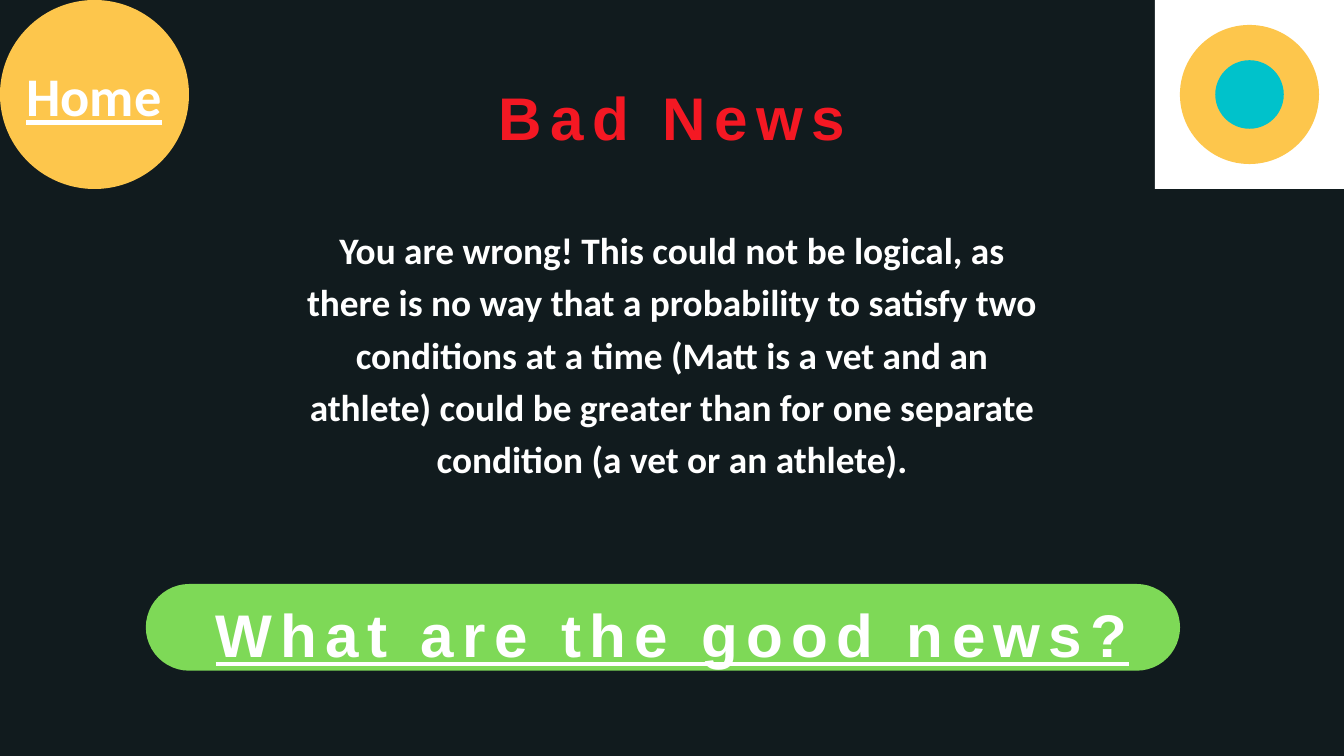
from pptx import Presentation
from pptx.dml.color import RGBColor
from pptx.enum.shapes import MSO_SHAPE
from pptx.enum.text import MSO_ANCHOR, MSO_AUTO_SIZE, PP_ALIGN
from pptx.oxml.xmlchemy import OxmlElement
from pptx.util import Inches, Pt

OVAL, SQUARE, PILL = MSO_SHAPE.OVAL, MSO_SHAPE.RECTANGLE, MSO_SHAPE.ROUNDED_RECTANGLE
TOP, CENTER, FIXED = MSO_ANCHOR.TOP, PP_ALIGN.CENTER, MSO_AUTO_SIZE.NONE

WIDTH, HEIGHT = 20, 11.25
CORNER = HEIGHT / 4
MIDDLE = CORNER / 2

THEME = {
    "colors": {"night": "111B1E", "green": "7ED957", "white": "FFFFFF",
               "yellow": "FDC64C", "teal": "00C2CB", "red": "F41823"},
    "heading": {"name": "Arial", "size": 64.5, "line": 96.8, "spacing": 9},
    "body": {"name": "Calibri", "size": 40, "line": 56, "spacing": 0},
    "button": {"name": "Calibri", "size": 58.3, "line": 70, "spacing": 0},
}

TITLE = "Bad News"
BODY = ("You are wrong! This could not be logical, as there is no way that a "
        "probability to satisfy two conditions at a time (Matt is a vet and an athlete) "
        "could be greater than for one separate condition (a vet or an athlete).")
LINKS = [
    ("What are the good news?", "heading", (2.72, 8.62, 14.57, 1.27)),
    ("Home", "button", (0.18, 0.93, 2.44, 0.92)),
]
CORNER_SHAPES = [
    (SQUARE, "white", WIDTH - MIDDLE, CORNER),
    (OVAL, "yellow", MIDDLE, CORNER),
    (OVAL, "yellow", WIDTH - MIDDLE, 2.07),
    (OVAL, "teal", WIDTH - MIDDLE, 1.02),
]


def color(name):
    return RGBColor.from_string(THEME["colors"][name])


def set_all(target, values):
    for name, value in values.items():
        setattr(target, name, value)


def place(shape, box):
    set_all(shape, dict(zip(("left", "top", "width", "height"), map(Inches, box))))


def add_filled(slide, kind, fill, box):
    shape = slide.shapes.add_shape(kind, *map(Inches, box))
    shape.shadow.inherit = False
    shape.fill.solid()
    shape.fill.fore_color.rgb = color(fill)
    shape.line.fill.background()
    return shape


def write(shape, text, style, box, ink="white", underline=False):
    place(shape, box)
    look = THEME[style]
    frame = shape.text_frame
    set_all(frame, {"word_wrap": True, "auto_size": FIXED, "vertical_anchor": TOP,
                    "margin_left": 0, "margin_top": 0, "margin_right": 0, "margin_bottom": 0})
    paragraph = frame.paragraphs[0]
    set_all(paragraph, {"alignment": CENTER, "line_spacing": Pt(look["line"]),
                        "space_before": Pt(0)})
    run = paragraph.add_run()
    run.text = text
    set_all(run.font, {"name": look["name"], "size": Pt(look["size"]),
                       "bold": True, "underline": underline})
    run.font.color.rgb = color(ink)
    if look["spacing"]:
        run.font._element.set("spc", str(look["spacing"] * 100))
    return paragraph


def remove_bullet(paragraph):
    properties = paragraph._p.get_or_add_pPr()
    properties.set("marL", "0")
    properties.set("indent", "0")
    properties.append(OxmlElement("a:buNone"))


def main():
    presentation = Presentation()
    set_all(presentation, {"slide_width": Inches(WIDTH), "slide_height": Inches(HEIGHT)})
    slide = presentation.slides.add_slide(presentation.slide_layouts[1])
    slide.background.fill.solid()
    slide.background.fill.fore_color.rgb = color("night")

    write(slide.shapes.title, TITLE, "heading", (7.11, 0.93, 5.78, 1.23), "red")
    remove_bullet(write(slide.placeholders[1], BODY, "body", (4.39, 3.27, 11.22, 4.71)))

    pill = add_filled(slide, PILL, "green", (2.17, 8.69, 15.39, 1.29))
    pill.adjustments[0] = 0.5
    for kind, fill, center, size in CORNER_SHAPES:
        add_filled(slide, kind, fill, (center - size / 2, MIDDLE - size / 2, size, size))

    for text, style, box in LINKS:
        label = slide.shapes.add_textbox(0, 0, 0, 0)
        write(label, text, style, box, underline=True)

    presentation.save("out.pptx")


if __name__ == "__main__":
    main()
